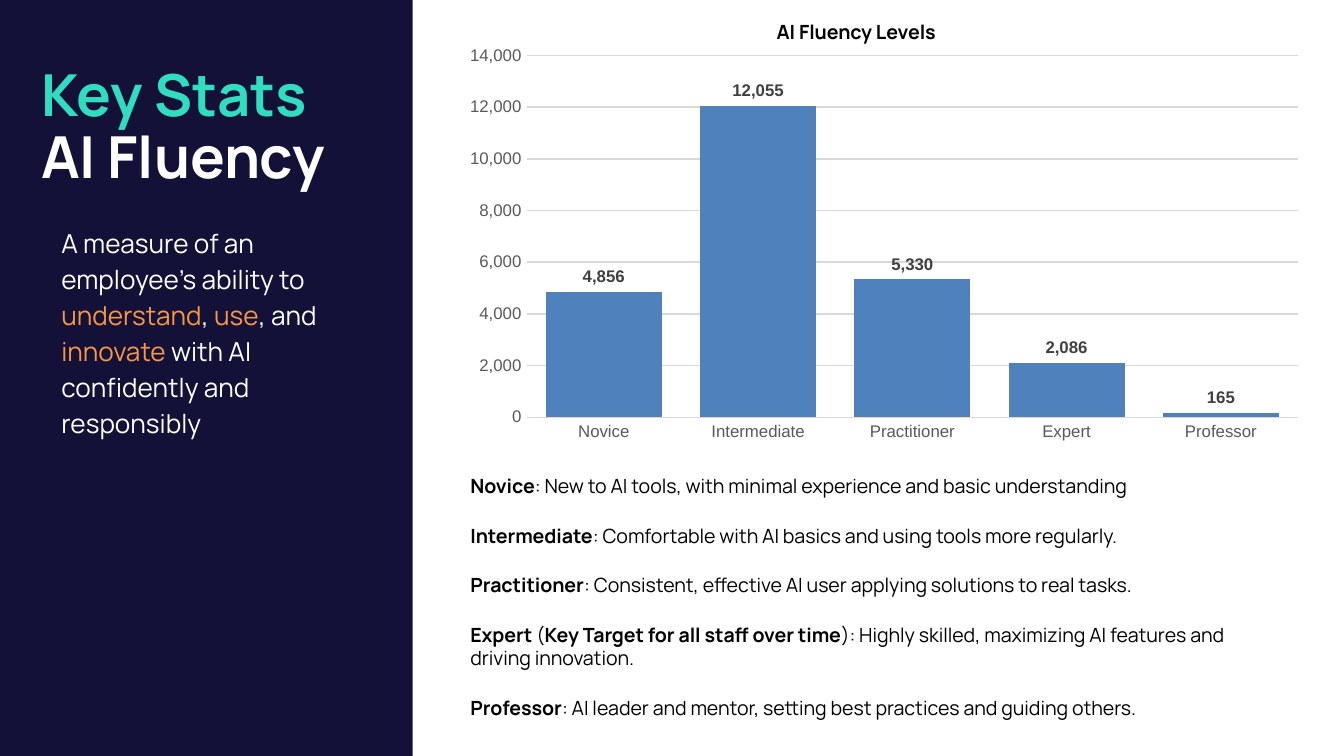
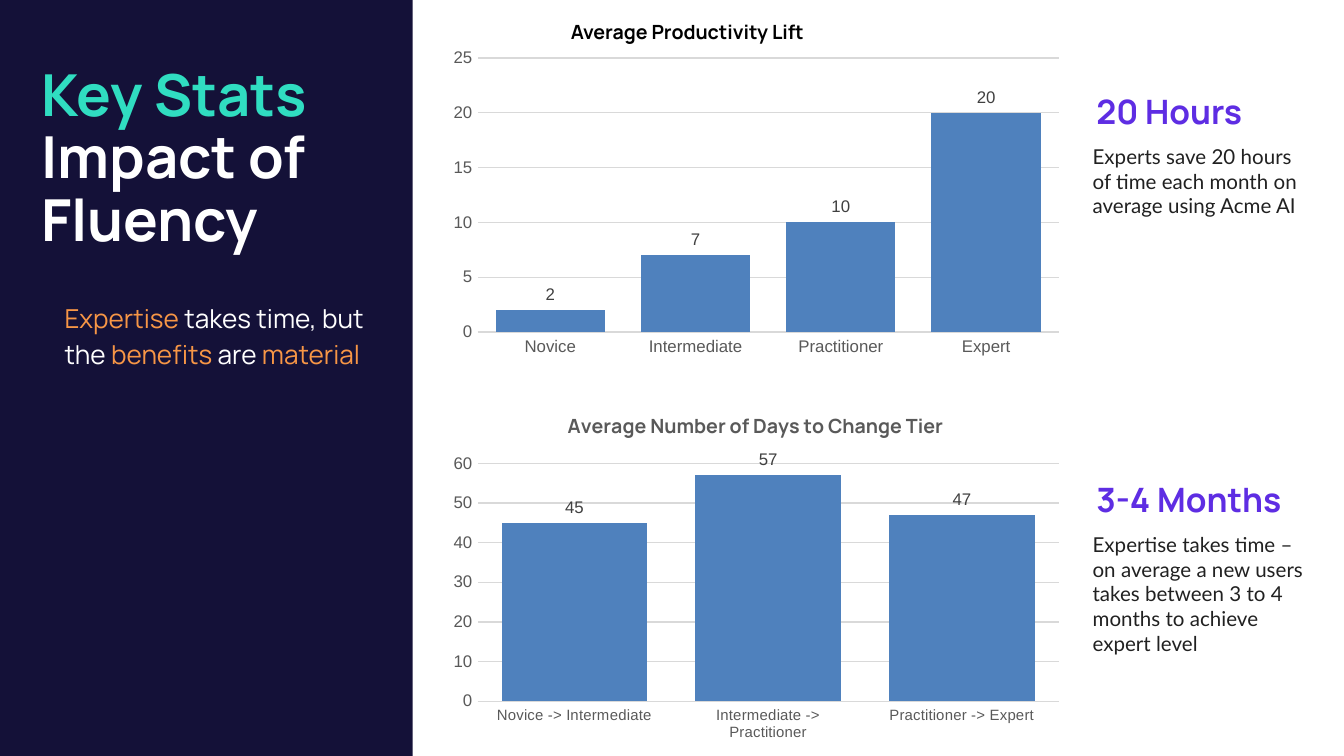
from lxml import etree
from pptx import Presentation
from pptx.chart.data import CategoryChartData
from pptx.dml.color import RGBColor
from pptx.enum import chart as charts, shapes
from pptx.oxml.ns import qn
from pptx.util import Cm, Pt

NAVY, TEAL, ORANGE, VIOLET = "141138", "30DDC1", "F79646", "5E2DE3"
WHITE, BLACK, INK = "FFFFFF", "000000", "212121"
BAR, GRID, AXIS_TEXT, LABEL_TEXT = "4F81BD", "D9D9D9", "595959", "404040"
DISPLAY, BODY, CHART_FONT = "Manrope", "Lato", "Arial"
INSET = 0.25
INDENT = 0.46


def rgb(value):
    return RGBColor.from_string(value)


def style(font, size, color, name=DISPLAY, bold=False):
    font.size = Pt(size)
    font.color.rgb = rgb(color)
    font.name = name
    font.bold = bold


def add_run(paragraph, wording, *args, **kwargs):
    run = paragraph.add_run()
    run.text = wording
    style(run.font, *args, **kwargs)


def add_box(slide, left, top, width, height, indent=0):
    """Add an empty wrapping text box, placed in centimetres."""
    frame = slide.shapes.add_textbox(Cm(left), Cm(top), Cm(width), Cm(height)).text_frame
    frame.word_wrap = True
    frame.margin_top = frame.margin_right = frame.margin_bottom = Cm(INSET)
    frame.margin_left = Cm(INSET + indent)
    return frame


def add_panel(slide, topic, summary, summary_left, summary_top):
    """Add the navy side panel; summary is a list of (wording, colour)."""
    panel = slide.shapes.add_shape(shapes.MSO_SHAPE.RECTANGLE, 0, 0, Cm(7.8), Cm(14.29))
    panel.shadow.inherit = False
    panel.fill.solid()
    panel.fill.fore_color.rgb = rgb(NAVY)
    panel.line.fill.background()

    title = add_box(slide, 0.53, 1, 6.86, 2.9).paragraphs[0]
    title.line_spacing = 0.9
    add_run(title, "Key Stats", 31, TEAL, bold=True)
    title.add_line_break()
    add_run(title, topic, 31, WHITE, bold=True)

    statement = add_box(slide, summary_left, summary_top, 6.53, 4.55).paragraphs[0]
    statement.line_spacing = 1.15
    for wording, color in summary:
        add_run(statement, wording, 14, color)


def add_chart_heading(slide, wording, left, width):
    heading = add_box(slide, left, 0.15, width, 1.02, INDENT).paragraphs[0]
    add_run(heading, wording, 10.5, BLACK, bold=True)


def place_plot(chart, left, top, width, height):
    """Fix the inner plot area, as fractions of the chart."""
    plot_area = chart.element.find(".//" + qn("c:plotArea"))
    for old in plot_area.findall(qn("c:layout")):
        plot_area.remove(old)
    layout = etree.Element(qn("c:layout"))
    plot_area.insert(0, layout)
    manual = etree.SubElement(layout, qn("c:manualLayout"))
    settings = dict(layoutTarget="inner", xMode="edge", yMode="edge",
                    x=left, y=top, w=width, h=height)
    for tag, value in settings.items():
        etree.SubElement(manual, qn("c:" + tag)).set("val", str(value))


def add_columns(slide, place, plot_place, values, top_value, step,
                category_size=9, bold_labels=False, title=None):
    """Add a column chart; values maps each category to its number."""
    data = CategoryChartData(number_format="#,##0")
    data.categories = list(values)
    data.add_series("Series 1", list(values.values()))
    chart = slide.shapes.add_chart(charts.XL_CHART_TYPE.COLUMN_CLUSTERED,
                                   *map(Cm, place), data).chart
    style(chart.font, 10, BLACK, CHART_FONT)
    chart.has_legend = False
    chart.has_title = title is not None
    if title:
        heading = chart.chart_title.text_frame.paragraphs[0]
        add_run(heading, title, 10.5, AXIS_TEXT, bold=True)

    for axis, size in ((chart.category_axis, category_size), (chart.value_axis, 9)):
        axis.major_tick_mark = axis.minor_tick_mark = charts.XL_TICK_MARK.NONE
        style(axis.tick_labels.font, size, AXIS_TEXT, CHART_FONT)
    scale = chart.value_axis
    scale.minimum_scale, scale.maximum_scale, scale.major_unit = 0, top_value, step
    scale.tick_labels.number_format = "#,##0"
    scale.tick_labels.number_format_is_linked = False
    scale.format.line.fill.background()
    for line in (scale.major_gridlines.format.line, chart.category_axis.format.line):
        line.color.rgb = rgb(GRID)
        line.width = Pt(0.75)

    columns = chart.plots[0]
    columns.vary_by_categories = False
    columns.gap_width, columns.overlap = 33, -30
    bars = columns.series[0]
    bars.format.fill.solid()
    bars.format.fill.fore_color.rgb = rgb(BAR)
    labels = bars.data_labels
    labels.show_value = True
    labels.position = charts.XL_LABEL_POSITION.OUTSIDE_END
    labels.number_format = "#,##0"
    labels.number_format_is_linked = False
    style(labels.font, 9, LABEL_TEXT, CHART_FONT, bold_labels)
    place_plot(chart, *plot_place)


def add_definitions(slide, definitions):
    """List the levels; each is a list of pieces, alternately bold and plain."""
    frame = add_box(slide, 8.18, 8.71, 15.82, 5.16, INDENT)
    for number, pieces in enumerate(definitions):
        paragraph = frame.add_paragraph() if number else frame.paragraphs[0]
        if number:
            paragraph.space_before = Pt(14)
        for position, wording in enumerate(pieces):
            add_run(paragraph, wording, 10.5, BLACK, bold=position % 2 == 0)


def add_takeaway(slide, top, figure, explanation):
    detail = add_box(slide, 20.4, top + 1.12, 4.62, 3.43).paragraphs[0]
    add_run(detail, explanation, 11, INK, BODY)
    headline = add_box(slide, 20.47, top, 4.7, 1.42).paragraphs[0]
    headline.line_spacing = 1.15
    add_run(headline, figure, 18, VIOLET, bold=True)


def build_fluency(slide):
    add_panel(slide, "AI Fluency", [
        ("A measure of an employee’s ability to ", WHITE), ("understand", ORANGE),
        (", ", WHITE), ("use", ORANGE), (", and ", WHITE), ("innovate", ORANGE),
        (" with AI confidently and responsibly", WHITE),
    ], 0.91, 3.96)
    add_columns(slide, (8.48, 0.74, 16.38, 7.77), (0.09, 0.04, 0.89, 0.88),
                {"Novice": 4856, "Intermediate": 12055, "Practitioner": 5330,
                 "Expert": 2086, "Professor": 165},
                14000, 2000, bold_labels=True)
    add_definitions(slide, [
        ["Novice", ": New to AI tools, with minimal experience and basic understanding"],
        ["Intermediate", ": Comfortable with AI basics and using tools more regularly."],
        ["Practitioner", ": Consistent, effective AI user applying solutions to real tasks."],
        ["Expert", " (", "Key Target for all staff over time",
         "): Highly skilled, maximizing AI features and driving innovation."],
        ["Professor", ": AI leader and mentor, setting best practices and guiding others."],
    ])
    add_chart_heading(slide, "AI Fluency Levels", 13.97, 4.24)


def build_impact(slide):
    add_panel(slide, "Impact of Fluency", [
        ("Expertise", ORANGE), (" takes time, but the ", WHITE), ("benefits", ORANGE),
        (" are ", WHITE), ("material", ORANGE),
    ], 0.97, 5.38)
    add_columns(slide, (8.31, 0.79, 11.94, 6.1), (0.06, 0.05, 0.92, 0.85),
                {"Novice": 2, "Intermediate": 7, "Practitioner": 10, "Expert": 20}, 25, 5)
    add_chart_heading(slide, "Average Productivity Lift", 10.08, 6.91)
    add_columns(slide, (8.31, 7.42, 11.94, 6.71), (0.06, 0.2, 0.92, 0.67),
                {"Novice -> Intermediate": 45, "Intermediate -> Practitioner": 57,
                 "Practitioner -> Expert": 47},
                60, 10, category_size=8, title="Average Number of Days to Change Tier")
    add_takeaway(slide, 1.35, "20 Hours",
                 "Experts save 20 hours of time each month on average using Acme AI")
    add_takeaway(slide, 8.69, "3-4 Months",
                 "Expertise takes time – on average a new users takes between "
                 "3 to 4 months to achieve expert level")


def main():
    deck = Presentation()
    deck.slide_width, deck.slide_height = Cm(25.4), Cm(14.29)
    for build in (build_fluency, build_impact):
        build(deck.slides.add_slide(deck.slide_layouts[6]))
    deck.save("out.pptx")


if __name__ == "__main__":
    main()
